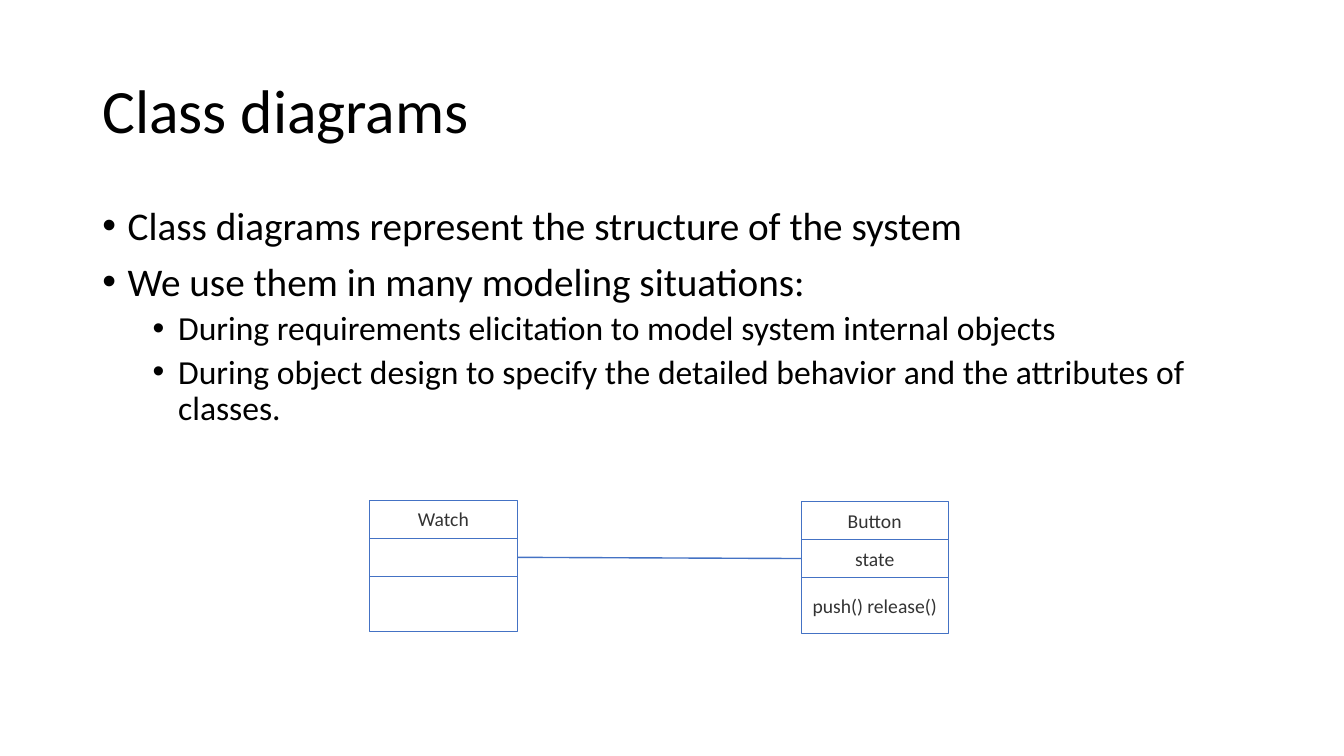
import dataclasses

import lxml.etree
import pptx
import pptx.dml.color
import pptx.enum.shapes
import pptx.enum.text
import pptx.oxml.ns
import pptx.util

Cm = pptx.util.Cm
Pt = pptx.util.Pt
Align = pptx.enum.text.PP_ALIGN
Anchor = pptx.enum.text.MSO_ANCHOR


@dataclasses.dataclass(frozen=True)
class Theme:
    font: str = "Calibri"
    ink: str = "000000"
    label: str = "333333"
    edge: str = "4472C4"
    title: int = 44
    body: int = 28
    sub: int = 24
    small: int = 14
    thin: float = 0.5
    link: float = 1


theme = Theme()


def color(code):
    return pptx.dml.color.RGBColor.from_string(code)


def child(node, tag, **attrs):
    return lxml.etree.SubElement(node, pptx.oxml.ns.qn(tag), attrs)


def write(para, text, size, ink=theme.ink, align=Align.LEFT, gap=0, lead=1.0, level=None):
    para.alignment = align
    para.line_spacing = lead
    para.space_before = Pt(gap)
    if level is not None:
        para.level = level
        props = para._p.get_or_add_pPr()
        props.set("marL", str(Cm(0.64 + 1.27 * level)))
        props.set("indent", str(-Cm(0.64)))
        child(props, "a:buFont", typeface="Arial")
        child(props, "a:buChar", char="•")
    run = para.add_run()
    run.text = text
    run.font.name = theme.font
    run.font.size = Pt(size)
    run.font.color.rgb = color(ink)


def frame(slide, left, top, width, height, anchor):
    box = slide.shapes.add_textbox(Cm(left), Cm(top), Cm(width), Cm(height))
    box.text_frame.word_wrap = True
    box.text_frame.vertical_anchor = anchor
    return box.text_frame


def add_title(slide, left, top, width, height, text):
    area = frame(slide, left, top, width, height, Anchor.MIDDLE)
    write(area.paragraphs[0], text, theme.title, lead=0.9)


def add_list(slide, left, top, width, height, items):
    area = frame(slide, left, top, width, height, Anchor.TOP)
    for index, (level, text) in enumerate(items):
        para = area.add_paragraph() if index else area.paragraphs[0]
        size = theme.sub if level else theme.body
        gap = (5 if level else 10) if index else 0
        write(para, text, size, gap=gap, lead=0.9, level=level)


def add_class(slide, left, top, width, height, parts):
    ratios = (0.29, 0.29, 0.42)
    for ratio, text in zip(ratios, parts):
        part = slide.shapes.add_shape(
            pptx.enum.shapes.MSO_SHAPE.RECTANGLE,
            Cm(left), Cm(top), Cm(width), Cm(height * ratio))
        part.shadow.inherit = False
        part.fill.background()
        part.line.color.rgb = color(theme.edge)
        part.line.width = Pt(theme.thin)
        if text:
            area = part.text_frame
            area.word_wrap = True
            area.margin_left = area.margin_right = Cm(0.1)
            area.margin_top = area.margin_bottom = 0
            area.vertical_anchor = Anchor.MIDDLE
            write(area.paragraphs[0], text, theme.small, theme.label, Align.CENTER)
        top += height * ratio


def add_link(slide, start, end):
    line = slide.shapes.add_connector(
        pptx.enum.shapes.MSO_CONNECTOR.STRAIGHT,
        *(Cm(value) for value in (*start, *end)))
    line.line.color.rgb = color(theme.edge)
    line.line.width = Pt(theme.link)
    child(line._element.spPr, "a:effectLst")


def add_model(slide, left, top, width, height):
    wide, tall, drop = 3.71, height - 0.03, 0.03
    right = left + width - wide
    port = top + tall * 0.435
    add_class(slide, right, top + drop, wide, tall, ("Button", "state", "push() release()"))
    add_link(slide, (left + wide, port), (right, port + drop))
    add_class(slide, left, top, wide, tall, ("Watch", "", ""))


def main():
    deck = pptx.Presentation()
    deck.slide_width, deck.slide_height = Cm(33.87), Cm(19.05)
    slide = deck.slides.add_slide(deck.slide_layouts[6])
    add_title(slide, 2.33, 1.01, 29.21, 3.68, "Class diagrams")
    add_list(slide, 2.33, 5.07, 29.21, 12.09, (
        (0, "Class diagrams represent the structure of the system"),
        (0, "We use them in many modeling situations:"),
        (1, "During requirements elicitation to model system internal objects"),
        (1, "During object design to specify the detailed behavior "
            "and the attributes of classes."),
    ))
    add_model(slide, 9.32, 12.6, 14.58, 3.35)
    deck.save("out.pptx")


if __name__ == "__main__":
    main()
